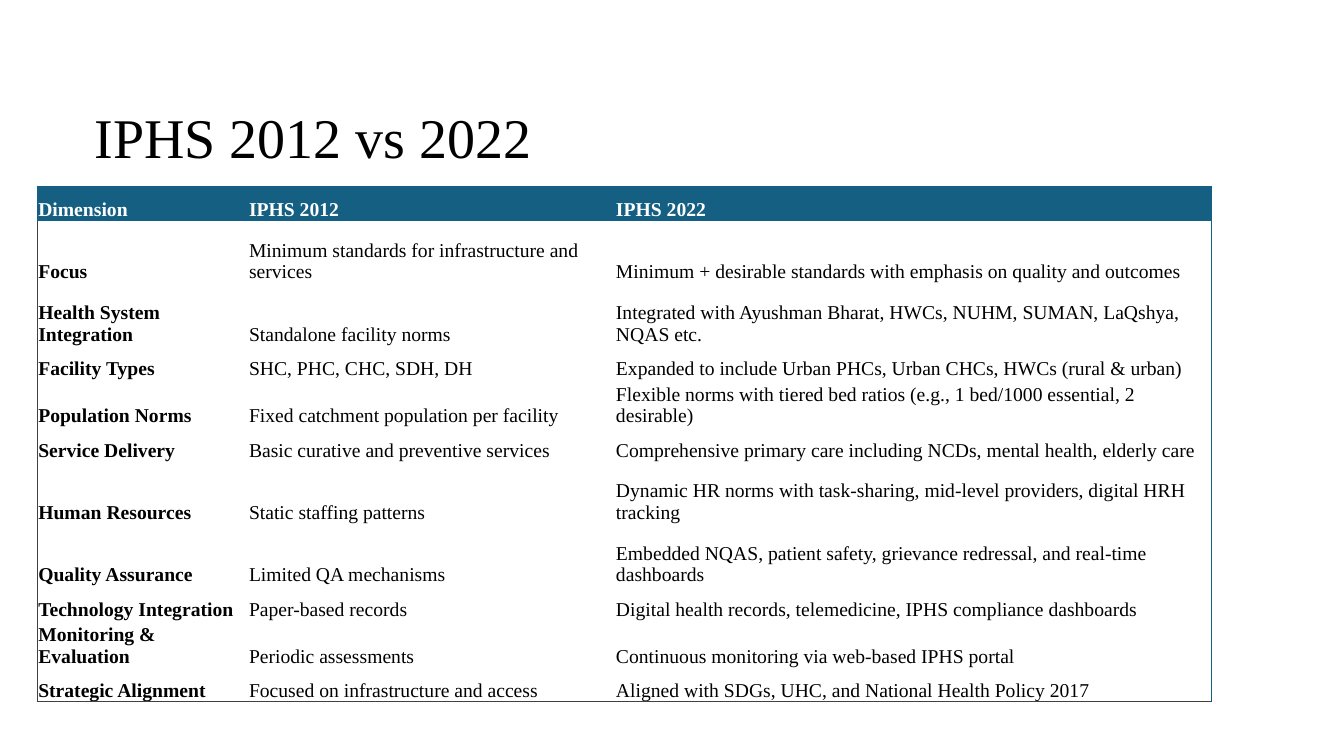
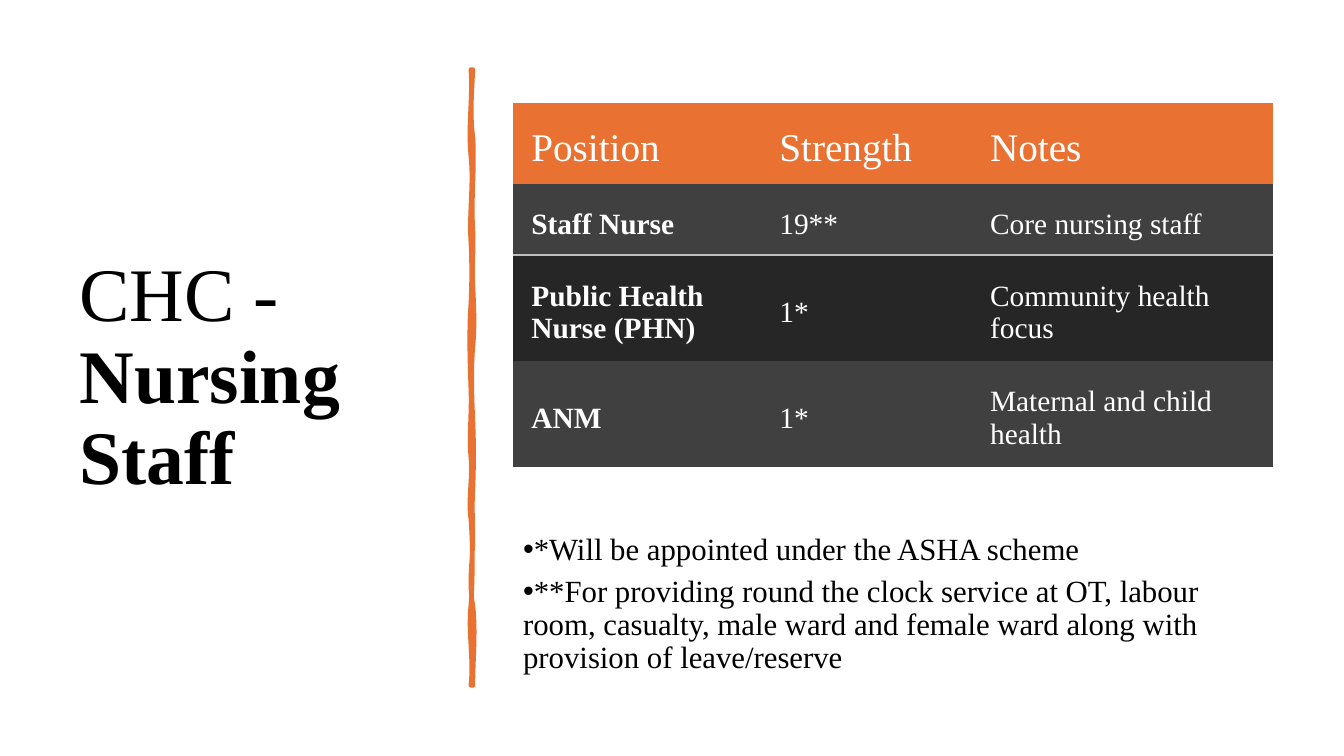
from dataclasses import dataclass

from lxml.etree import SubElement
from pptx import Presentation
from pptx.dml.color import RGBColor
from pptx.enum.shapes import MSO_SHAPE as Shape
from pptx.enum.text import MSO_ANCHOR as Anchor
from pptx.oxml import parse_xml
from pptx.oxml.ns import nsdecls, qn
from pptx.util import Inches, Pt


@dataclass(frozen=True)
class Theme:
    font: str = "Times New Roman"
    ink: str = "000000"
    paper: str = "FFFFFF"
    teal: str = "156082"
    orange: str = "E97132"
    row_light: str = "404040"
    row_dark: str = "262626"
    rule: str = "BFBFBF"
    title: int = 40
    side_title: int = 54
    table_text: int = 14
    staff_head: int = 28
    staff_text: int = 21
    note: int = 22
    leading: float = 0.9


THEME = Theme()
PLAIN_TABLE = "{2D5ABB26-0587-4C30-8999-92F81FD0307C}"

COMPARISON = [
    ("Dimension", "IPHS 2012", "IPHS 2022"),
    ("Focus", "Minimum standards for infrastructure and services",
     "Minimum + desirable standards with emphasis on quality and outcomes"),
    ("Health System Integration", "Standalone facility norms",
     "Integrated with Ayushman Bharat, HWCs, NUHM, SUMAN, LaQshya, NQAS etc."),
    ("Facility Types", "SHC, PHC, CHC, SDH, DH",
     "Expanded to include Urban PHCs, Urban CHCs, HWCs (rural & urban)"),
    ("Population Norms", "Fixed catchment population per facility",
     "Flexible norms with tiered bed ratios (e.g., 1 bed/1000 essential, 2 desirable)"),
    ("Service Delivery", "Basic curative and preventive services",
     "Comprehensive primary care including NCDs, mental health, elderly care"),
    ("Human Resources", "Static staffing patterns",
     "Dynamic HR norms with task-sharing, mid-level providers, digital HRH tracking"),
    ("Quality Assurance", "Limited QA mechanisms",
     "Embedded NQAS, patient safety, grievance redressal, and real-time dashboards"),
    ("Technology Integration", "Paper-based records",
     "Digital health records, telemedicine, IPHS compliance dashboards"),
    ("Monitoring & Evaluation", "Periodic assessments",
     "Continuous monitoring via web-based IPHS portal"),
    ("Strategic Alignment", "Focused on infrastructure and access",
     "Aligned with SDGs, UHC, and National Health Policy 2017"),
]
SINGLE, SNUG, TALL = 0.34, 0.45, 0.62
ROW_HEIGHTS = {1: TALL, 2: TALL, 4: SNUG, 6: TALL, 7: TALL, 9: SNUG}

STAFF = [
    ("Position", "Strength", "Notes"),
    ("Staff Nurse", "19**", "Core nursing staff"),
    ("Public Health Nurse (PHN)", "1*", "Community health focus"),
    ("ANM", "1*", "Maternal and child health"),
]
FOOTNOTES = [
    "*Will be appointed under the ASHA scheme",
    "**For providing round the clock service at OT, labour room, casualty, "
    "male ward and female ward along with provision of leave/reserve",
]

# Each brush segment: end height as a share of the length, two sideways pulls
BRUSH_DOWN = [(0.14, 0.02, -0.03), (0.28, 0.03, -0.02), (0.38, 0.01, 0.01),
              (0.52, -0.02, -0.01), (0.63, 0.01, -0.02), (0.73, 0.02, -0.03),
              (0.87, 0.02, 0.02), (1, -0.03, 0.03)]
BRUSH_UP = [(0.87, 0, 0.03), (0.77, -0.04, -0.01), (0.68, 0, -0.01),
            (0.57, 0.01, 0.01), (0.45, -0.01, -0.02), (0.35, 0.02, 0.01),
            (0.26, -0.01, 0.01), (0.11, -0.02, 0.02), (0, -0.03, -0.01)]


def rgb(value):
    return RGBColor.from_string(value)


def add_run(paragraph, text, size, color=THEME.ink, bold=False):
    run = paragraph.add_run()
    run.text = text
    run.font.name = THEME.font
    run.font.size = Pt(size)
    run.font.bold = bold
    run.font.color.rgb = rgb(color)


def add_text_frame(slide, box, anchor):
    frame = slide.shapes.add_textbox(*map(Inches, box)).text_frame
    frame.word_wrap = True
    frame.vertical_anchor = anchor
    return frame


def add_title(slide, box, parts, size):
    paragraph = add_text_frame(slide, box, Anchor.MIDDLE).paragraphs[0]
    paragraph.line_spacing = THEME.leading
    for text, bold in parts:
        add_run(paragraph, text, size, bold=bold)


def add_title_band(slide, box):
    band = slide.shapes.add_shape(Shape.RECTANGLE, *map(Inches, box))
    band.shadow.inherit = False
    band.fill.solid()
    band.fill.fore_color.rgb = rgb(THEME.paper)
    band.line.fill.background()


def set_borders(cell, borders):
    """Borders map a side (L, R, T, B) to a colour and a width in points."""
    for index, side in enumerate("LRTB"):
        color, width = borders.get(side, (None, 0))
        paint = (f'<a:solidFill><a:srgbClr val="{color}"/></a:solidFill>'
                 if color else "<a:noFill/>")
        cell._tc.get_or_add_tcPr().insert(index, parse_xml(
            f'<a:ln{side} {nsdecls("a")} w="{Pt(width)}">{paint}</a:ln{side}>'))


def add_table(slide, left, top, widths, heights, rows, insets, anchor, style):
    """The style function gives size, colour, bold, fill and borders by place."""
    table = slide.shapes.add_table(
        len(rows), len(widths), Inches(left), Inches(top),
        Inches(sum(widths)), Inches(sum(heights))).table
    table.first_row = table.horz_banding = False
    table._tbl.tblPr.find(qn("a:tableStyleId")).text = PLAIN_TABLE
    for column, width in zip(table.columns, widths):
        column.width = Inches(width)
    for r, (texts, height) in enumerate(zip(rows, heights)):
        table.rows[r].height = Inches(height)
        for c, text in enumerate(texts):
            cell = table.cell(r, c)
            size, color, bold, fill, borders = style(r, c)
            (cell.margin_left, cell.margin_top,
             cell.margin_right, cell.margin_bottom) = map(Inches, insets)
            cell.vertical_anchor = anchor
            add_run(cell.text_frame.paragraphs[0], text, size, color, bold)
            if fill:
                cell.fill.solid()
                cell.fill.fore_color.rgb = rgb(fill)
            else:
                cell.fill.background()
            set_borders(cell, borders)


def comparison_style(r, c):
    head = r == 0
    hairline, frame = (THEME.row_light, 0.5), (THEME.teal, 1)
    borders = {}
    if c == 0:
        borders["L"] = frame if head else hairline
    if c == 2:
        borders["R"] = frame
    if head:
        borders["T"] = frame
    if r == len(COMPARISON) - 1:
        borders["B"] = hairline
    return (THEME.table_text, THEME.paper if head else THEME.ink,
            head or c == 0, THEME.teal if head else None, borders)


def staff_style(r, c):
    if r == 0:
        return THEME.staff_head, THEME.paper, False, THEME.orange, {}
    fill = THEME.row_light if r % 2 else THEME.row_dark
    rule = {1: "B", 2: "T"}.get(r)
    borders = {rule: (THEME.rule, 1)} if rule else {}
    return THEME.staff_text, THEME.paper, c == 0, fill, borders


def edge_curves(x, height, start, segments):
    """Give the three Bézier points of each segment along one wavy edge."""
    curves = []
    for end, pull1, pull2 in segments:
        stops = [(pull1, 1 / 3), (pull2, 2 / 3), (0, 1)]
        curves.append([(Inches(x + pull), Inches(height * (start + (end - start) * t)))
                       for pull, t in stops])
        start = end
    return curves


def add_brush_divider(slide, left, top, width, height):
    foot = (Inches(width), Inches(height))
    curves = (edge_curves(0, height, 0, BRUSH_DOWN) + [[foot] * 3]
              + edge_curves(width, height, 1, BRUSH_UP))
    builder = slide.shapes.build_freeform(0, 0)
    builder.add_line_segments([curve[-1] for curve in curves], close=True)
    brush = builder.convert_to_shape(Inches(left), Inches(top))
    # Bend each straight segment into a curve
    for line, curve in zip(list(brush._element.iter(qn("a:lnTo"))), curves):
        line.tag = qn("a:cubicBezTo")
        line.remove(line[0])
        for x, y in curve:
            SubElement(line, qn("a:pt"), x=str(int(x)), y=str(int(y)))
    brush.shadow.inherit = False
    brush.fill.solid()
    brush.fill.fore_color.rgb = rgb(THEME.orange)
    brush.line.color.rgb = rgb(THEME.orange)
    brush.line.width = Pt(3.25)
    SubElement(brush.line._get_or_add_ln(), qn("a:round"))


def add_footnotes(slide, box):
    frame = add_text_frame(slide, box, Anchor.TOP)
    for index, text in enumerate(FOOTNOTES):
        paragraph = frame.add_paragraph() if index else frame.paragraphs[0]
        paragraph.line_spacing = THEME.leading
        paragraph.space_after = Pt(6)
        properties = paragraph._p.get_or_add_pPr()
        properties.set("marL", "0")
        properties.set("indent", str(-Inches(0.25)))
        SubElement(properties, qn("a:buFont")).set("typeface", "Arial")
        SubElement(properties, qn("a:buChar")).set("char", "•")
        add_run(paragraph, text, THEME.note)


def build_comparison(slide):
    add_title_band(slide, (0, 0, 13.33, 2.78))
    add_title(slide, (0.84, 0.51, 10.9, 1.77),
              [("IPHS 2012 vs 2022", False)], THEME.title)
    heights = [ROW_HEIGHTS.get(r, SINGLE) for r in range(len(COMPARISON))]
    add_table(slide, 0.37, 1.85, [2.09, 3.64, 5.92], heights, COMPARISON,
              (0.01, 0, 0.01, 0), Anchor.BOTTOM, comparison_style)


def build_staffing(slide):
    top, height = 0.69, 6.11
    left, width = 5.09, 7.54
    add_title(slide, (0.69, 0.7, 3.74, height),
              [("CHC - ", False), ("Nursing Staff", True)], THEME.side_title)
    add_brush_divider(slide, 4.67, top, 0.02, height)
    add_footnotes(slide, (left, 5.25, width, 1.56))
    add_table(slide, left, 1.02, [2.46, 2.09, 2.99], [0.81, 0.7, 1.05, 1.05],
              STAFF, (0.18, 0.18, 0.18, 0.09), Anchor.MIDDLE, staff_style)


def main():
    deck = Presentation()
    deck.slide_width, deck.slide_height = Inches(13.33), Inches(7.5)
    for build in (build_comparison, build_staffing):
        build(deck.slides.add_slide(deck.slide_layouts[6]))
    deck.save("out.pptx")


if __name__ == "__main__":
    main()
